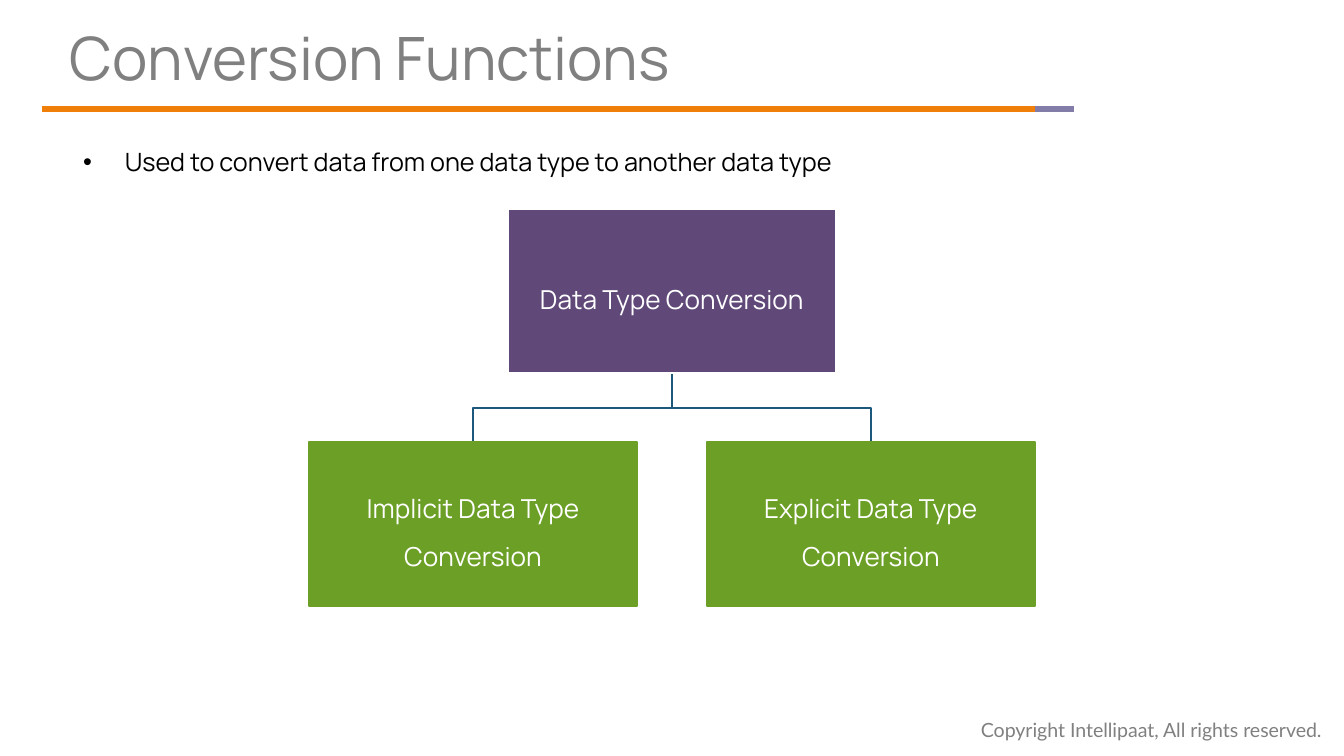
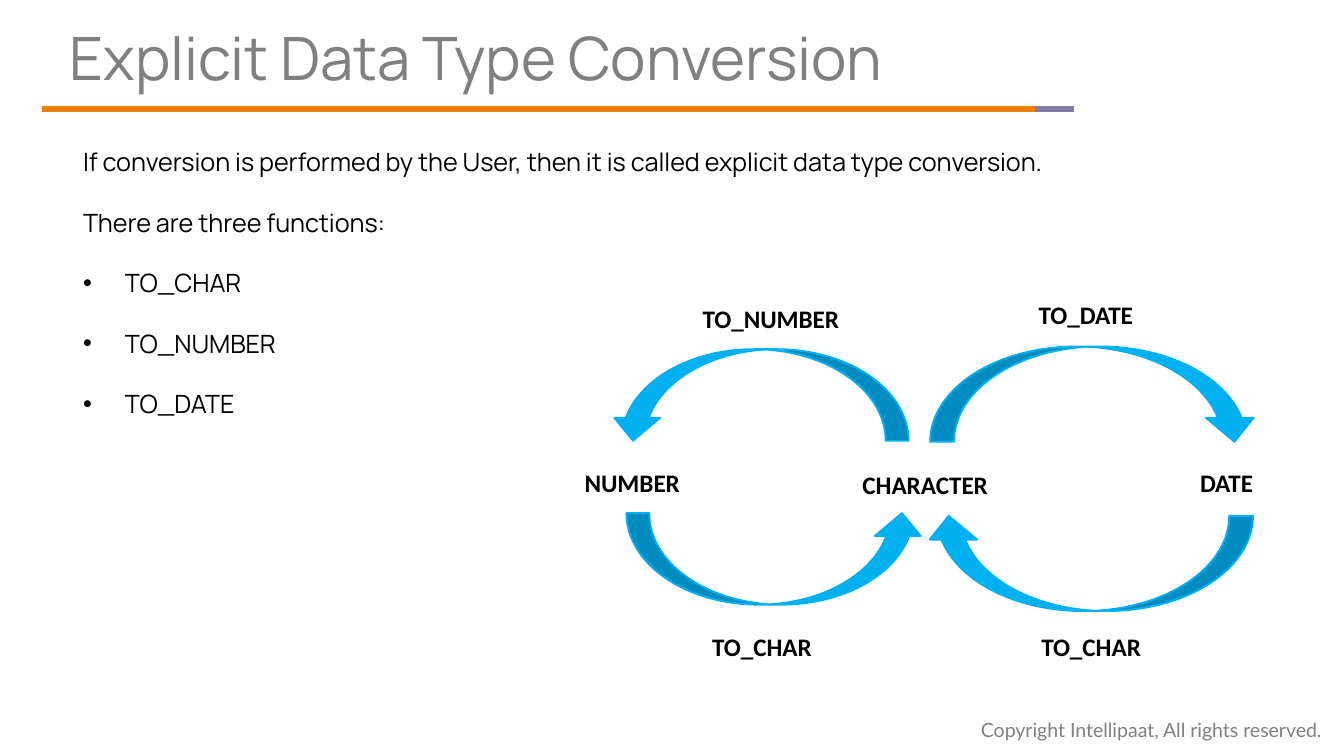
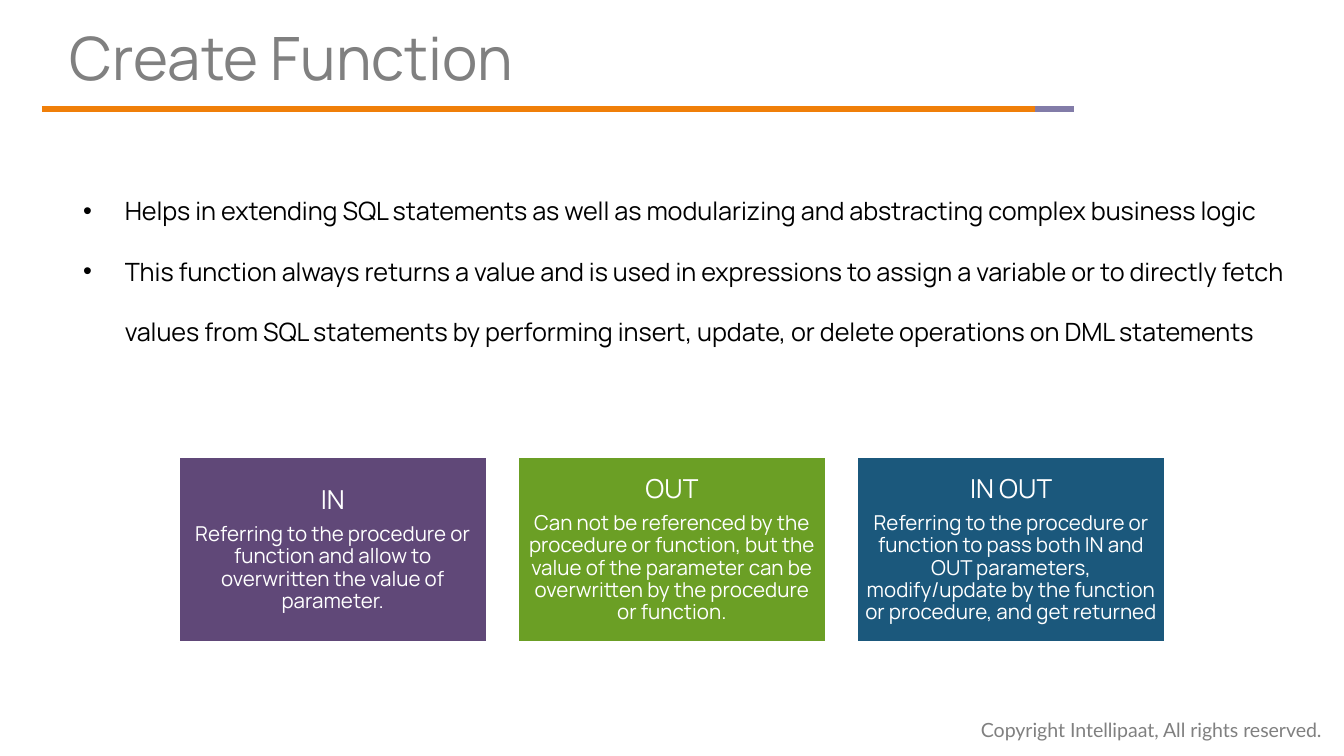
"""Build three slides on SQL conversion functions and CREATE FUNCTION."""
from dataclasses import dataclass

from lxml.etree import SubElement
from pptx import Presentation
from pptx.dml.color import RGBColor
from pptx.enum.shapes import MSO_CONNECTOR, MSO_SHAPE
from pptx.enum.text import MSO_ANCHOR, MSO_AUTO_SIZE, PP_ALIGN
from pptx.oxml.ns import qn
from pptx.util import Cm, Pt


@dataclass(frozen=True)
class Theme:
    orange: str = "F07F09"
    lilac: str = "827CA8"
    purple: str = "604878"
    green: str = "6B9F25"
    blue: str = "1B587C"
    sky: str = "00B0F0"
    grey: str = "808080"
    black: str = "000000"
    white: str = "FFFFFF"
    font: str = "Manrope"
    label_font: str = "Calibri"
    footer_font: str = "Lato"
    title_size: float = 32
    box_size: float = 14
    body_size: float = 13.5
    detail_size: float = 11
    footer_size: float = 10.5


THEME = Theme()
WIDTH, HEIGHT = 25.4, 14.29

COPYRIGHT = "Copyright Intellipaat, All rights reserved."
RULES = [(0.79, 19.56, THEME.orange), (19.56, 20.29, THEME.lilac)]
RULE_TOP = 2.06
BULLET, PLAIN = True, False

CONVERSION_POINTS = [
    (BULLET, "Used to convert data from one data type to another data type"),
]
CONVERSION_ROOT = "Data Type Conversion"
CONVERSION_KINDS = ["Implicit Data Type Conversion", "Explicit Data Type Conversion"]

EXPLICIT_POINTS = [
    (PLAIN, "If conversion is performed by the User, then it is called explicit data type conversion."),
    (PLAIN, "There are three functions:"),
    (BULLET, "TO_CHAR"),
    (BULLET, "TO_NUMBER"),
    (BULLET, "TO_DATE"),
]
UP, DOWN = MSO_SHAPE.CURVED_UP_ARROW, MSO_SHAPE.CURVED_DOWN_ARROW
CYCLE_ARROWS = [
    (UP, 0, (11.84, 9.7, 5.64, 1.73)),
    (UP, 180, (11.53, 6.6, 5.64, 1.73)),
    (DOWN, 180, (17.48, 9.75, 6.2, 1.8)),
    (DOWN, 0, (17.58, 6.55, 6.2, 1.8)),
]
CYCLE_LABELS = [
    ("CHARACTER", 16.05, 8.74, 3.1),
    ("NUMBER", 10.8, 8.71, 2.44),
    ("DATE", 22.43, 8.71, 1.55),
    ("TO_NUMBER", 13.03, 5.61, 3.33),
    ("TO_CHAR", 19.43, 11.81, 2.54),
    ("TO_DATE", 19.38, 5.54, 2.44),
    ("TO_CHAR", 13.21, 11.81, 2.54),
]

FUNCTION_POINTS = [
    (BULLET, "Helps in extending SQL statements as well as modularizing and abstracting "
             "complex business logic"),
    (BULLET, "This function always returns a value and is used in expressions to assign a "
             "variable or to directly fetch values from SQL statements by performing insert, "
             "update, or delete operations on DML statements"),
]
PARAMETER_MODES = [
    ("IN", THEME.purple,
     "Referring to the procedure or function and allow to overwritten the value of parameter."),
    ("OUT", THEME.green,
     "Can not be referenced by the procedure or function, but the value of the parameter "
     "can be overwritten by the procedure or function."),
    ("IN OUT", THEME.blue,
     "Referring to the procedure or function to pass both IN and OUT parameters, "
     "modify/update by the function or procedure, and get returned"),
]


def rgb(color):
    return RGBColor.from_string(color)


def place(area):
    return [Cm(length) for length in area]


def write(paragraph, text, size, color, font=THEME.font, bold=False):
    paragraph.text = text
    for run in paragraph.runs:
        run.font.size = Pt(size)
        run.font.name = font
        run.font.bold = bold
        run.font.color.rgb = rgb(color)


def set_insets(frame, left, top, right, bottom):
    frame.margin_left, frame.margin_top = Cm(left), Cm(top)
    frame.margin_right, frame.margin_bottom = Cm(right), Cm(bottom)


def add_label(slide, text, area, size, color, font, bold=False):
    frame = slide.shapes.add_textbox(*place(area)).text_frame
    frame.word_wrap = False
    frame.auto_size = MSO_AUTO_SIZE.SHAPE_TO_FIT_TEXT
    write(frame.paragraphs[0], text, size, color, font, bold)


def add_bullet(paragraph):
    properties = paragraph._p.get_or_add_pPr()
    properties.set("marL", str(Cm(0.79)))
    properties.set("indent", str(-Cm(0.79)))
    SubElement(properties, qn("a:buFont"), typeface="Arial")
    SubElement(properties, qn("a:buChar"), char="•")


def add_points(slide, points, area):
    frame = slide.shapes.add_textbox(*place(area)).text_frame
    frame.word_wrap = True
    frame.auto_size = MSO_AUTO_SIZE.SHAPE_TO_FIT_TEXT
    for number, (bulleted, text) in enumerate(points):
        point = frame.add_paragraph() if number else frame.paragraphs[0]
        if bulleted:
            add_bullet(point)
        point.line_spacing = 2.0
        write(point, text, THEME.body_size, THEME.black)


def add_filled(slide, kind, area, fill, line):
    filled = slide.shapes.add_shape(kind, *place(area))
    filled.shadow.inherit = False
    filled.fill.solid()
    filled.fill.fore_color.rgb = rgb(fill)
    filled.line.color.rgb = rgb(line)
    filled.line.width = Pt(1)
    return filled


def add_box(slide, area, fill, line, texts, spacing, inset):
    box = add_filled(slide, MSO_SHAPE.RECTANGLE, area, fill, line)
    frame = box.text_frame
    frame.word_wrap = True
    frame.vertical_anchor = MSO_ANCHOR.MIDDLE
    set_insets(frame, inset, inset, inset, inset)
    for number, (text, size) in enumerate(texts):
        paragraph = frame.add_paragraph() if number else frame.paragraphs[0]
        paragraph.alignment = PP_ALIGN.CENTER
        paragraph.line_spacing = spacing
        paragraph.space_after = Pt(size * 0.35)
        write(paragraph, text, size, THEME.white)


def add_slide(deck, title):
    slide = deck.slides.add_slide(deck.slide_layouts[5])
    heading = slide.shapes.title
    heading.left, heading.top, heading.width, heading.height = place((1.32, 0.41, 20.22, 1.6))
    frame = heading.text_frame
    frame.word_wrap = True
    frame.auto_size = MSO_AUTO_SIZE.NONE
    frame.vertical_anchor = MSO_ANCHOR.TOP
    set_insets(frame, 0, 0.13, 0.25, 0.13)
    paragraph = frame.paragraphs[0]
    paragraph.alignment = PP_ALIGN.LEFT
    paragraph.line_spacing = 0.9
    paragraph.space_before = Pt(0)
    write(paragraph, title, THEME.title_size, THEME.grey)
    for start, end, color in RULES:
        rule = slide.shapes.add_connector(
            MSO_CONNECTOR.STRAIGHT, *place((start, RULE_TOP, end, RULE_TOP)))
        rule.line.color.rgb = rgb(color)
        rule.line.width = Pt(3)
        SubElement(rule._element.spPr, qn("a:effectLst"))
    add_label(slide, COPYRIGHT, (18.29, 13.44, 7.19, 0.71),
              THEME.footer_size, THEME.grey, THEME.footer_font)
    return slide


def add_branch(slide, corners):
    start, *rest = [place(corner) for corner in corners]
    builder = slide.shapes.build_freeform(*start, scale=1.0)
    builder.add_line_segments(rest, close=False)
    branch = builder.convert_to_shape()
    branch.shadow.inherit = False
    branch.fill.background()
    branch.line.color.rgb = rgb(THEME.blue)
    branch.line.width = Pt(1)


def add_conversion_tree(slide):
    box_width, box_height, root_top, kind_top, pitch = 6.2, 3.1, 3.96, 8.36, 7.52
    middle = WIDTH / 2
    root_bottom = root_top + box_height
    bend = (root_bottom + kind_top) / 2
    centres = [middle + (number - 0.5) * pitch for number in range(len(CONVERSION_KINDS))]
    for centre in centres:
        add_branch(slide, [(middle, root_bottom), (middle, bend),
                           (centre, bend), (centre, kind_top)])
    nodes = [(CONVERSION_ROOT, middle, root_top, THEME.purple, THEME.white)]
    nodes += [(kind, centre, kind_top, THEME.green, THEME.green)
              for kind, centre in zip(CONVERSION_KINDS, centres)]
    for text, centre, top, fill, line in nodes:
        add_box(slide, (centre - box_width / 2, top, box_width, box_height),
                fill, line, [(text, THEME.box_size)], 1.5, 0.03)


def add_conversion_cycle(slide):
    for kind, rotation, area in CYCLE_ARROWS:
        add_filled(slide, kind, area, THEME.sky, THEME.sky).rotation = rotation
    for text, left, top, width in CYCLE_LABELS:
        add_label(slide, text, (left, top, width, 0.86),
                  THEME.body_size, THEME.black, THEME.label_font, bold=True)


def add_parameter_modes(slide):
    card_width, card_height, gap, top = 5.82, 3.5, 0.59, 8.64
    count = len(PARAMETER_MODES)
    left = (WIDTH - count * card_width - (count - 1) * gap) / 2
    for number, (mode, fill, detail) in enumerate(PARAMETER_MODES):
        area = (left + number * (card_width + gap), top, card_width, card_height)
        add_box(slide, area, fill, THEME.white,
                [(mode, THEME.box_size), (detail, THEME.detail_size)], 0.9, 0.15)


def main():
    deck = Presentation()
    deck.slide_width, deck.slide_height = Cm(WIDTH), Cm(HEIGHT)

    conversion = add_slide(deck, "Conversion Functions")
    add_points(conversion, CONVERSION_POINTS, (1.32, 2.08, 23.8, 1.24))
    add_conversion_tree(conversion)

    explicit = add_slide(deck, "Explicit Data Type Conversion")
    add_points(explicit, EXPLICIT_POINTS, (1.32, 2.08, 23.8, 5.84))
    add_conversion_cycle(explicit)

    function = add_slide(deck, "Create Function")
    add_points(function, FUNCTION_POINTS, (1.32, 3, 23.65, 3.53))
    add_parameter_modes(function)

    deck.save("out.pptx")


if __name__ == "__main__":
    main()
